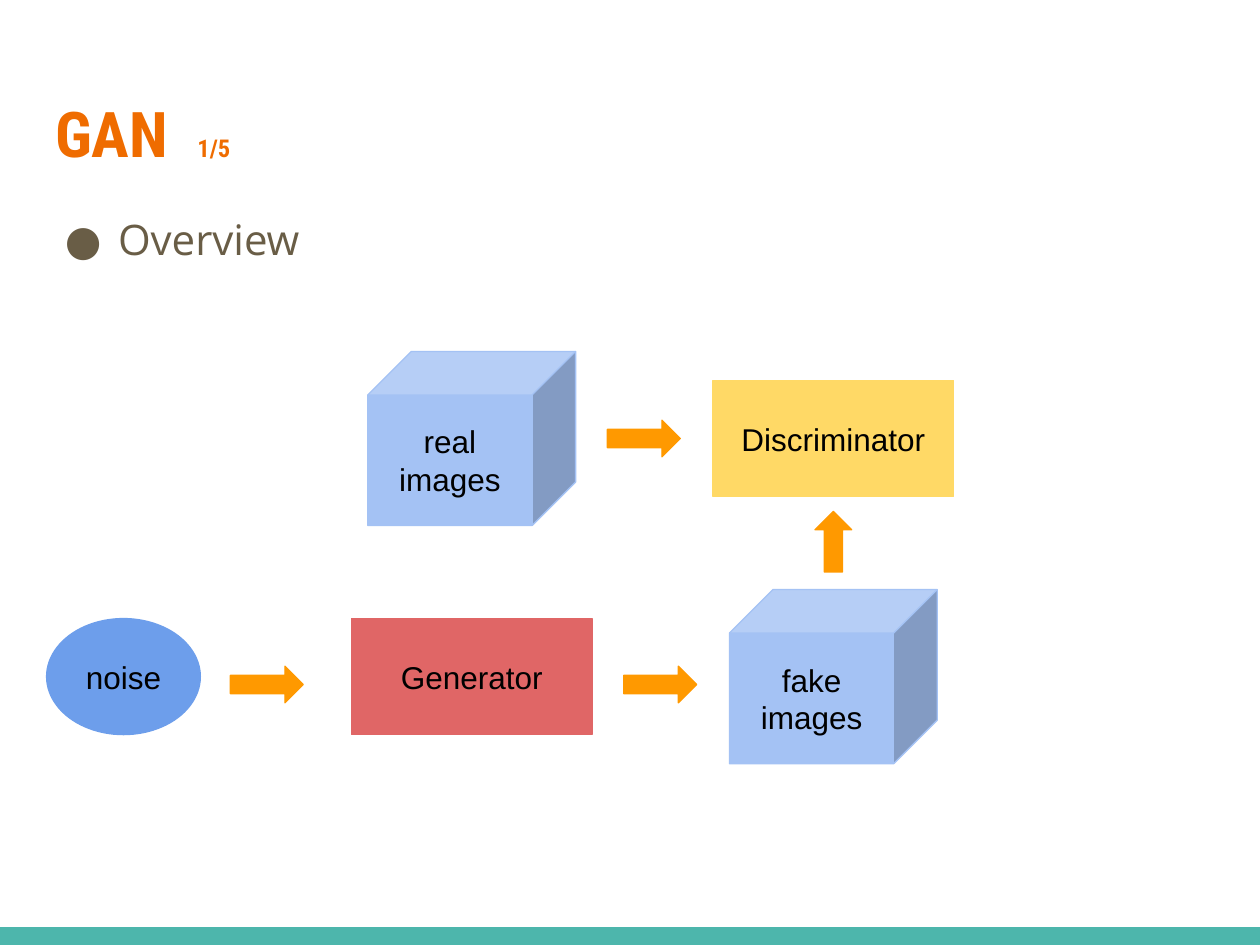
from lxml.etree import SubElement
from pptx import Presentation
from pptx.dml.color import RGBColor
from pptx.enum.shapes import MSO_SHAPE
from pptx.enum.text import MSO_ANCHOR, PP_ALIGN
from pptx.oxml.ns import qn
from pptx.util import Cm, Pt

HEX = dict(teal="4DB6AC", title="EF6C00", body="695D46", black="000000",
           gold="FFD966", red="E06666", pale="A4C2F4", blue="6D9EEB",
           orange="FF9900")

# Content: title runs, bullet, diagram
TITLE = [("GAN\t", 36), ("1/5", 14)]
BULLET = "Overview"

# Diagram columns and rows (centres, cm)
LEFT, MID, RIGHT = 2.49, 9.51, 16.8
UPPER, LOWER = 8.84, 13.64
ARROW_ROW = 13.8

BOX = (MSO_SHAPE.RECTANGLE, 4.85, 2.34)
CUBE = (MSO_SHAPE.CUBE, 4.19, 3.51)
OVAL = (MSO_SHAPE.OVAL, 3.1, 2.34)
EAST = (MSO_SHAPE.RIGHT_ARROW, 1.47, 0.74)
NORTH = (MSO_SHAPE.UP_ARROW, 0.74, 1.22)

# (kind, centre x, centre y, colour, lines)
PARTS = [
    (BOX, RIGHT, UPPER, "gold", ["Discriminator"]),
    (BOX, MID, LOWER, "red", ["Generator"]),
    (CUBE, MID, UPPER, "pale", ["real images"]),
    (CUBE, RIGHT, LOWER, "pale", ["fake", "images"]),
    (OVAL, LEFT, LOWER, "blue", ["noise"]),
    (EAST, 5.38, ARROW_ROW, "orange", []),
    (EAST, 13.31, ARROW_ROW, "orange", []),
    (NORTH, RIGHT, 10.92, "orange", []),
    (EAST, 12.98, UPPER, "orange", []),
]


def tint(name):
    return RGBColor.from_string(HEX[name])


def write(para, text, size=18, font="Arial", color="black", bold=False):
    run = para.add_run()
    run.text = text
    run.font.size = Pt(size)
    run.font.name = font
    run.font.bold = bold
    run.font.color.rgb = tint(color)


def pad(frame, anchor):
    frame.word_wrap = True
    frame.vertical_anchor = anchor
    frame.margin_left = frame.margin_right = Cm(0.25)
    frame.margin_top = frame.margin_bottom = Cm(0.25)


def add_text(top, height):
    box = slide.shapes.add_textbox(Cm(0.86), Cm(top), Cm(23.67), Cm(height))
    pad(box.text_frame, MSO_ANCHOR.TOP)
    return box.text_frame.paragraphs[0]


def add_part(kind, x, y, color, lines=(), edge=True):
    form, wide, high = kind
    part = slide.shapes.add_shape(form, Cm(x - wide / 2), Cm(y - high / 2),
                                  Cm(wide), Cm(high))
    part.shadow.inherit = False
    part.fill.solid()
    part.fill.fore_color.rgb = tint(color)
    if edge:
        part.line.color.rgb = tint(color)
        part.line.width = Pt(0.75)
    else:
        part.line.fill.background()
    frame = part.text_frame
    pad(frame, MSO_ANCHOR.MIDDLE)
    for i, line in enumerate(lines):
        para = frame.add_paragraph() if i else frame.paragraphs[0]
        para.alignment = PP_ALIGN.CENTER
        write(para, line)


deck = Presentation()
deck.slide_width, deck.slide_height = Cm(25.4), Cm(19.05)
slide = deck.slides.add_slide(deck.slide_layouts[6])

# Footer band
add_part((MSO_SHAPE.RECTANGLE, 25.4, 0.36), 12.7, 18.87, "teal", edge=False)

# Title, with a tab stop before the page count
para = add_text(1.65, 2.62)
tabs = SubElement(para._p.get_or_add_pPr(), qn("a:tabLst"))
SubElement(tabs, qn("a:tab"), pos=str(Cm(2.87)), algn="l")
for text, size in TITLE:
    write(para, text, size=size, font="Roboto Condensed", color="title",
          bold=True)

# Bullet
para = add_text(3.76, 12.24)
para.line_spacing = 1.3
props = para._p.get_or_add_pPr()
props.set("marL", str(Cm(1.27)))
props.set("indent", str(Cm(-1.07)))
shade = SubElement(props, qn("a:buClr"))
SubElement(shade, qn("a:srgbClr"), val=HEX["body"])
SubElement(props, qn("a:buFont"), typeface="Open Sans")
SubElement(props, qn("a:buChar"), char="●")
write(para, BULLET, size=24, font="Open Sans", color="body")

# Diagram
for part in PARTS:
    add_part(*part)

deck.save("out.pptx")
